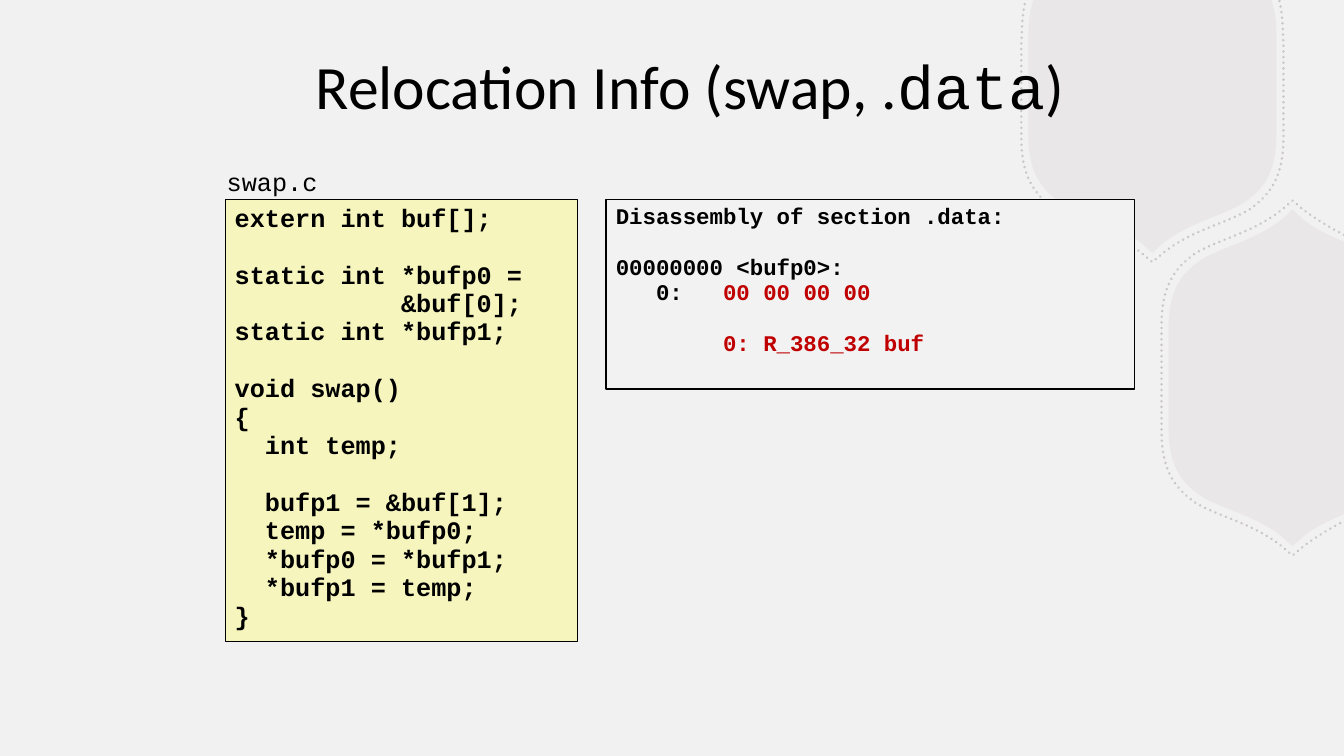
from pptx import Presentation
from pptx.dml.color import RGBColor
from pptx.enum.dml import MSO_LINE
from pptx.enum.shapes import MSO_SHAPE
from pptx.enum.text import MSO_ANCHOR, PP_ALIGN
from pptx.oxml.ns import qn
from pptx.util import Inches, Pt
from lxml.etree import SubElement

BLACK = RGBColor(0x00, 0x00, 0x00)
RED = RGBColor(0xC0, 0x00, 0x00)
BACKGROUND = RGBColor(0xF2, 0xF1, 0xF1)
PALE_GREY = RGBColor(0xF2, 0xF2, 0xF2)
YELLOW = RGBColor(0xF6, 0xF5, 0xBD)
HEXAGON_GREY = RGBColor(0xB8, 0xB2, 0xB2)
SANS, MONO = "Calibri", "Courier New"


def add_run(p, text, **formats):
    r = p.add_run()
    r.text = text
    r.font.color.rgb = formats.pop("color", BLACK)
    for name, value in formats.items():
        setattr(r.font, name, value)


def add_outline(shapes, points, kinds, cx, cy, close):
    """Freeform around (cx, cy); each CCC in kinds is one Bezier curve."""
    points = [(Inches(cx + x), Inches(cy + y)) for x, y in points]
    builder = shapes.build_freeform(*points[0], scale=1.0)
    builder.add_line_segments(points[1:], close=close)
    sp = builder.convert_to_shape()
    sp.shadow.inherit = False
    steps = list(next(sp._element.iter(qn("a:path"))))
    curve = None
    for step, kind in zip(steps, kinds):
        if kind != "C":
            continue
        if curve is None or len(curve) == 3:
            curve = step
            curve.tag = qn("a:cubicBezTo")
        else:
            curve.append(step[0])
            step.getparent().remove(step)
    return sp


prs = Presentation()
prs.slide_width, prs.slide_height = Inches(13.33), Inches(7.5)
s = prs.slides.add_slide(prs.slide_layouts[6])
s.background.fill.solid()
s.background.fill.fore_color.rgb = BACKGROUND

# Hexagon quarters from side to tip, and the stubs where the slide edge cuts
INNER = [(1.23, 0.49), (1.23, 0.84), (1.13, 1.02), (0.91, 1.17),
         (0.68, 1.31), (0.38, 1.36), (0.11, 1.57), (0, 1.67)]
OUTER = [(1.3, 0.52), (1.3, 0.89), (1.19, 1.08), (0.96, 1.24),
         (0.72, 1.38), (0.4, 1.44), (0.12, 1.66), (0, 1.76)]
INNER_TOP = [(1.18, -0.84), (1.22, -0.72), (1.23, -0.61), (1.23, -0.48)]
OUTER_TOP = [(1.26, -0.83), (1.3, -0.65), (1.29, -0.54), (1.3, -0.4)]
INNER_RIGHT = [(0.51, -1.35), (0.38, -1.41), (0.25, -1.46), (0.11, -1.57)]
OUTER_RIGHT = [(0.51, -1.42), (0.37, -1.49), (0.2, -1.6), (0.12, -1.66)]
TOP_KINDS = "MCCC" + "LCCCCCCL" + "LCCCCCC" + "LCCC"
RIGHT_KINDS = "MCCC" + "LLCCCCCC" + "LCCCCCCL" + "LCCC"

# Hexagons: filled ones, then dotted outlines
for quarter, top_stub, right_stub, filled in (
        (INNER, INNER_TOP, INNER_RIGHT, True),
        (OUTER, OUTER_TOP, OUTER_RIGHT, False)):
    right_half = top_stub + quarter
    upper_half = right_stub + [(-x, -y) for x, y in reversed(quarter)]
    upper = right_half + [(-x, y) for x, y in reversed(right_half[:-1])]
    lower = upper_half + [(x, -y) for x, y in reversed(upper_half)]
    for points, kinds, cx, cy in ((upper, TOP_KINDS, 11.43, 0.84),
                                  (lower, RIGHT_KINDS, 12.82, 3.75)):
        sp = add_outline(s.shapes, points, kinds, cx, cy, filled)
        if filled:
            paint, opacity = sp.fill, 15
            sp.line.fill.background()
        else:
            paint, opacity = sp.line.fill, 65
            sp.fill.background()
            sp.line.width = Pt(2)
        paint.solid()
        paint.fore_color.rgb = HEXAGON_GREY
        holder = sp._element.spPr
        if not filled:
            sp.line.dash_style = MSO_LINE.ROUND_DOT
            holder = holder.find(qn("a:ln"))
            holder.set("cap", "rnd")
        color = holder.find(qn("a:solidFill")).find(qn("a:srgbClr"))
        SubElement(color, qn("a:alpha"), val=str(opacity * 1000))

# Title
tf = s.shapes.add_textbox(Inches(2.08), Inches(0.48), Inches(9.53), Inches(0.86)).text_frame
tf.word_wrap = True
tf.vertical_anchor = MSO_ANCHOR.MIDDLE
p = tf.paragraphs[0]
p.alignment = PP_ALIGN.CENTER
p.line_spacing = 0.82
for text, font in (("Relocation Info (swap, .", SANS), ("data", MONO), (")", SANS)):
    add_run(p, text, name=font, size=Pt(44))

# Code boxes: an empty line becomes space before the next one
DISASSEMBLY = [
    [("Disassembly of section .data:", BLACK)],
    [],
    [("00000000 <bufp0>:", BLACK)],
    [("   0:   ", BLACK), ("00 00 00 00", RED)],
    [],
    [("        0: R_386_32 buf", RED)],
]
SWAP_SOURCE = """extern int buf[];

static int *bufp0 =
           &buf[0];
static int *bufp1;

void swap()
{
  int temp;

  bufp1 = &buf[1];
  temp = *bufp0;
  *bufp0 = *bufp1;
  *bufp1 = temp;
}"""
swap_lines = [[(line, BLACK)] if line else [] for line in SWAP_SOURCE.split("\n")]
for box, fill, border, size, lines in (
        ((6.01, 1.98, 5.24, 1.88), PALE_GREY, 1, 16, DISASSEMBLY),
        ((2.23, 1.98, 3.5, 4.38), YELLOW, 0.25, 18, swap_lines)):
    sp = s.shapes.add_shape(MSO_SHAPE.RECTANGLE, *map(Inches, box))
    sp.shadow.inherit = False
    sp.fill.solid()
    sp.fill.fore_color.rgb = fill
    sp.line.color.rgb = BLACK
    sp.line.width = Pt(border)
    tf = sp.text_frame
    tf.word_wrap = True
    tf.vertical_anchor = MSO_ANCHOR.TOP
    p, gap = tf.paragraphs[0], 0
    for i, line in enumerate(lines):
        if not line:
            gap = size * 1.13
            continue
        if i:
            p = tf.add_paragraph()
        p.alignment = PP_ALIGN.LEFT
        p.line_spacing = 0.94
        p.space_before = Pt(gap)
        gap = 0
        for text, color in line:
            add_run(p, text, name=MONO, size=Pt(size), bold=True, color=color)

# File name above the source
tf = s.shapes.add_textbox(Inches(2.15), Inches(1.6), Inches(1.1), Inches(0.4)).text_frame
tf.word_wrap = False
add_run(tf.paragraphs[0], "swap.c", name=MONO, size=Pt(18))

prs.save("out.pptx")
